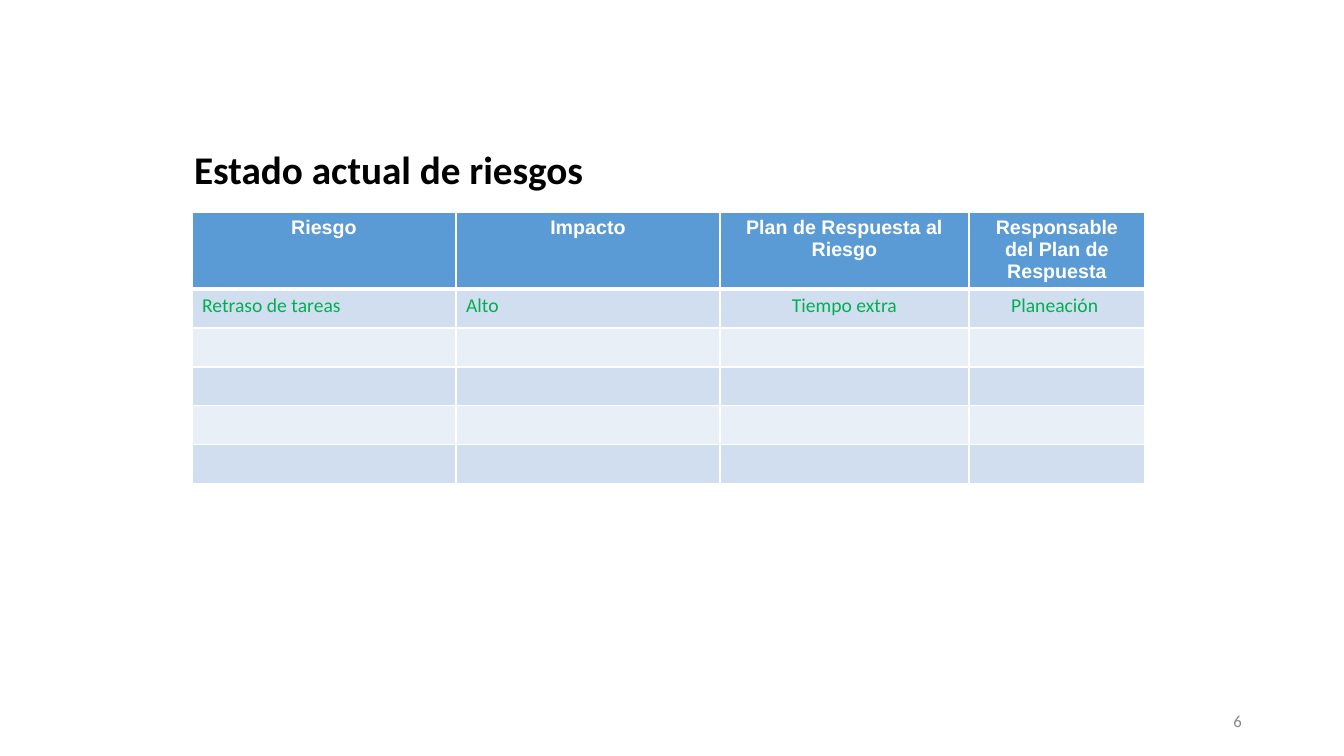
"""Build the slide with the table of current project risks."""
from lxml import etree
from pptx import Presentation, util as u
from pptx.dml.color import RGBColor
from pptx.enum import text
from pptx.oxml.ns import qn

SCALE = 914400 / 100.8
LEFT, CENTER, RIGHT = text.PP_ALIGN.LEFT, text.PP_ALIGN.CENTER, text.PP_ALIGN.RIGHT


def px(length):
    return u.Emu(round(length * SCALE))


def write(frame, words, color, align, **font):
    paragraph = frame.paragraphs[0]
    paragraph.alignment = align
    run = paragraph.add_run()
    run.text = words
    run.font.color.rgb = RGBColor.from_string(color)
    for name, value in font.items():
        setattr(run.font, name, value)


deck = Presentation()
deck.slide_width, deck.slide_height = px(1344), px(756)
slide = deck.slides.add_slide(deck.slide_layouts[5])

heading = slide.shapes.title
page = slide.shapes.add_textbox(px(950), px(701), px(302), px(40))
heading_box = {"left": px(184), "top": px(149), "width": px(857), "height": px(40)}
for name, value in heading_box.items():
    setattr(heading, name, value)
for frame in (heading.text_frame, page.text_frame):
    frame.word_wrap = True
    frame.auto_size = text.MSO_AUTO_SIZE.NONE
    frame.vertical_anchor = text.MSO_ANCHOR.MIDDLE
write(heading.text_frame, "Estado actual de riesgos", "000000", LEFT,
      name="Calibri", size=u.Pt(28), bold=True)
write(page.text_frame, "6", "888888", RIGHT, name="Calibri", size=u.Pt(12))

rows = [
    ["Riesgo", "Impacto", "Plan de Respuesta al Riesgo", "Responsable del Plan de Respuesta"],
    ["Retraso de tareas", "Alto", "Tiempo extra", "Planeación "],
] + [[""] * 4 for _ in range(4)]
widths = [264, 264, 249, 176]
heights = [77] + [39] * 5

risks = slide.shapes.add_table(len(rows), len(widths), px(192), px(212),
                               px(sum(widths)), px(sum(heights))).table
for column, width in zip(risks.columns, widths):
    column.width = px(width)
for row, height in zip(risks.rows, heights):
    row.height = px(height)

for r, entries in enumerate(rows):
    header = r == 0
    fill = "5B9BD5" if header else ("E9EFF7", "D0DEEF")[r % 2]
    for c, entry in enumerate(entries):
        cell = risks.cell(r, c)
        borders = {"a:lnL": 1, "a:lnR": 1, "a:lnT": 3 if r == 1 else 1, "a:lnB": 3 if header else 1}
        for side, points in borders.items():
            line = etree.SubElement(cell._tc.get_or_add_tcPr(), qn(side), w=str(u.Pt(points)))
            solid = etree.SubElement(line, qn("a:solidFill"))
            etree.SubElement(solid, qn("a:srgbClr"), val="FFFFFF")
        cell.fill.solid()
        cell.fill.fore_color.rgb = RGBColor.from_string(fill)
        if entry:
            write(cell.text_frame, entry, "FFFFFF" if header else "00B050",
                  CENTER if header or c > 1 else LEFT,
                  name="Arial" if header else "Calibri", size=u.Pt(14), bold=header)
        else:
            etree.SubElement(cell.text_frame.paragraphs[0]._p, qn("a:endParaRPr"), sz="1400")

deck.save("out.pptx")
